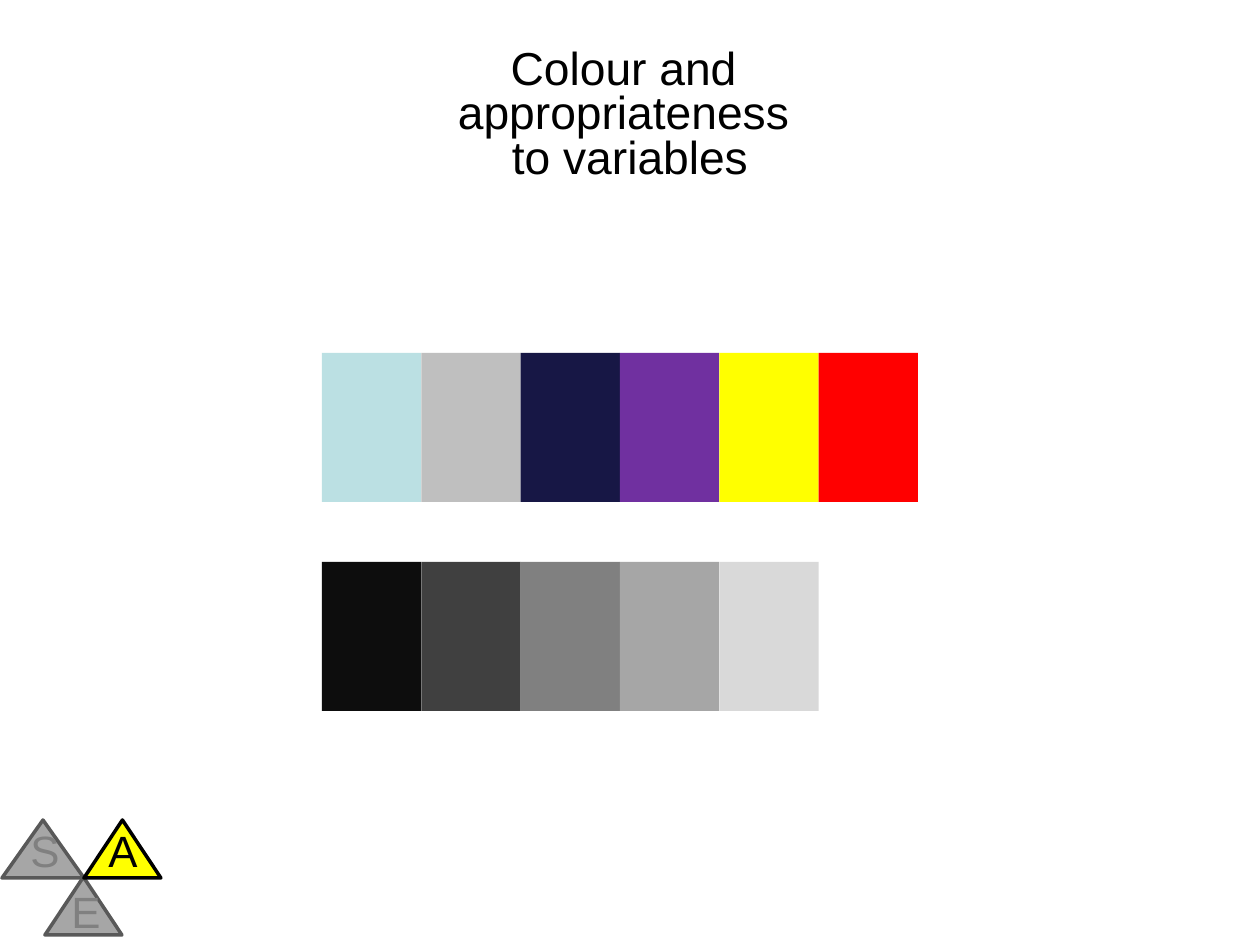
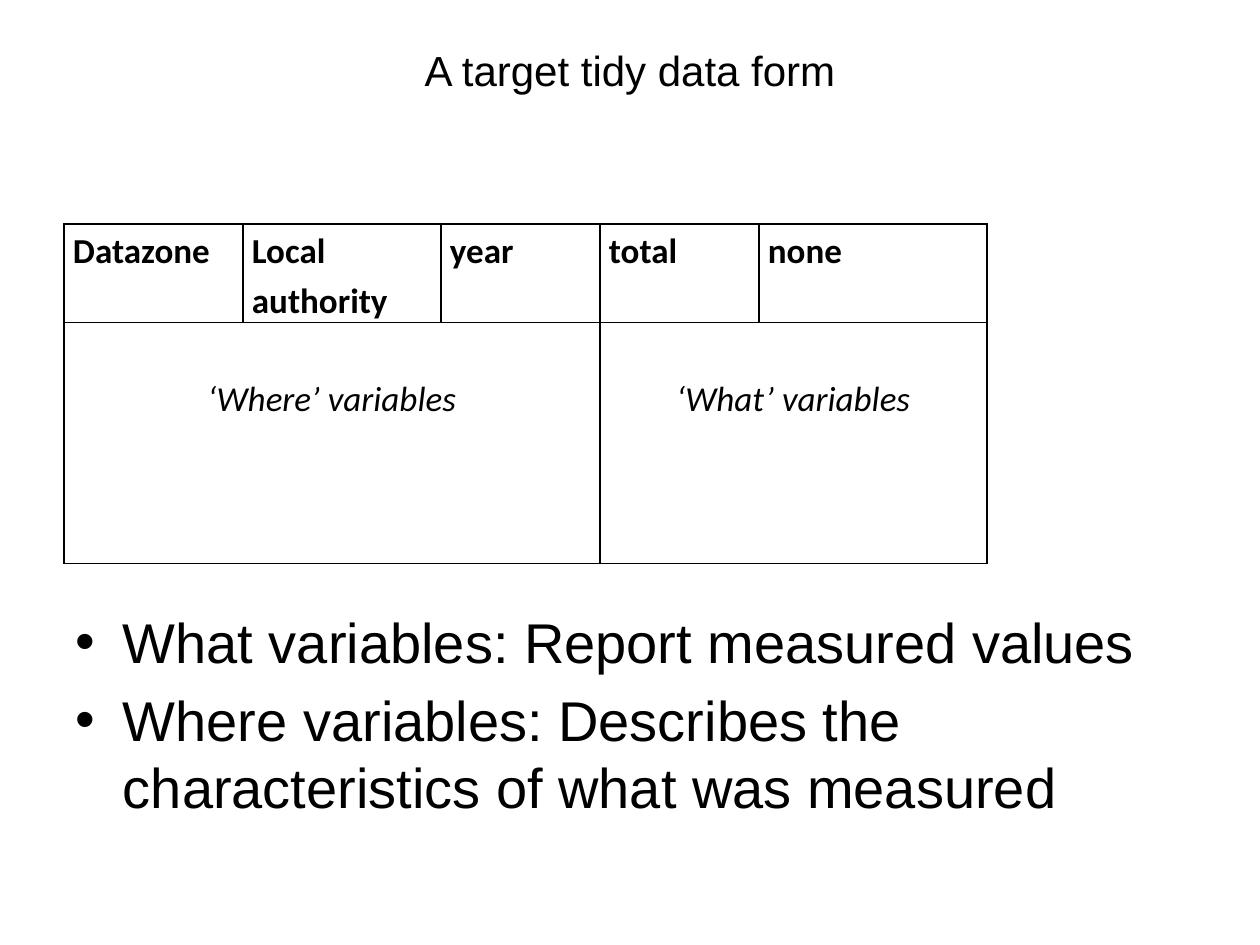
from itertools import pairwise

from lxml import etree
from pptx import Presentation
from pptx import util as u
from pptx.dml.color import RGBColor
from pptx.enum import shapes, text
from pptx.oxml.ns import qn

PX = 914400 / 126
SLIDE_SIZE = (1260, 945)
TITLE_BOX = (63, 38, 1134, 157)
BODY_BOX = (63, 601, 1134, 243)

BLACK = RGBColor(0x00, 0x00, 0x00)
YELLOW = RGBColor(0xFF, 0xFF, 0x00)
MUTED_FILL = RGBColor(0xA6, 0xA6, 0xA6)
MUTED_LINE = RGBColor(0x59, 0x59, 0x59)
MUTED_TEXT = RGBColor(0x80, 0x80, 0x80)

COLOUR_TITLE = ["Colour and ", "appropriateness ", "to variables"]
SWATCH_LEFT, SWATCH_RIGHT, SWATCH_HEIGHT, SWATCH_COLUMNS = 322, 918, 149, 6
SWATCH_ROWS = [
    (353, ["BBE0E3", "BFBFBF", "171745", "7030A0", "FFFF00", "FF0000"]),
    (562, ["0D0D0D", "404040", "808080", "A6A6A6", "D9D9D9"]),
]

# letter, triangle box, label box, highlighted
BADGE = [
    ("S", (2, 820, 82, 58), (8, 818, 74, 65), False),
    ("E", (45, 877, 77, 58), (49, 879, 74, 65), False),
    ("A", (84, 820, 77, 58), (86, 818, 74, 65), True),
]

TIDY_TITLE = ["A target tidy data form"]
TABLE_ORIGIN = (64, 224)
COLUMN_WIDTHS = [179, 198, 159, 159, 228]
ROW_HEIGHTS = [98, 241]
CELL_MARGIN = 9
TEXT_LINE = 49
HEADERS = ["Datazone", "Local authority", "year", "total", "none"]
VARIABLE_GROUPS = [("‘Where’ variables", 0, 2), ("‘What’ variables", 3, 4)]
VARIABLE_NOTES = [
    "What variables: Report measured values",
    "Where variables: Describes the characteristics of what was measured",
]


def px(length):
    return u.Emu(round(length * PX))


def place(shape, box):
    shape.left, shape.top, shape.width, shape.height = map(px, box)


def add_run(paragraph, words, size, colour=BLACK, name="Arial", bold=False, italic=False):
    run = paragraph.add_run()
    run.text = words
    font = run.font
    font.name, font.size, font.bold, font.italic = name, u.Pt(size), bold, italic
    font.color.rgb = colour


def fill_paragraphs(frame, lines, size, alignment, line_spacing=None, space_before=0):
    frame.word_wrap = True
    frame.auto_size = text.MSO_AUTO_SIZE.NONE
    for index, line in enumerate(lines):
        paragraph = frame.paragraphs[0] if index == 0 else frame.add_paragraph()
        paragraph.alignment = alignment
        paragraph.line_spacing = line_spacing
        paragraph.space_before = u.Pt(space_before if index else 0)
        add_run(paragraph, line, size)


def add_titled_slide(presentation, layout_name, lines, size, anchor, line_spacing=None):
    slide = presentation.slides.add_slide(presentation.slide_layouts.get_by_name(layout_name))
    title = slide.shapes.title
    place(title, TITLE_BOX)
    title.text_frame.vertical_anchor = anchor
    fill_paragraphs(title.text_frame, lines, size, text.PP_ALIGN.CENTER, line_spacing)
    return slide


def add_filled(container, kind, box, colour):
    shape = container.add_shape(kind, *map(px, box))
    shape.shadow.inherit = False
    shape.fill.solid()
    shape.fill.fore_color.rgb = colour
    shape.line.fill.background()
    return shape


def add_badge(slide):
    """Group the three lettered triangles in the bottom left corner."""
    group = slide.shapes.add_group_shape().shapes
    for _, triangle_box, _, active in BADGE:
        triangle = add_filled(group, shapes.MSO_SHAPE.ISOSCELES_TRIANGLE, triangle_box,
                              YELLOW if active else MUTED_FILL)
        triangle.line.color.rgb = BLACK if active else MUTED_LINE
        triangle.line.width = u.Pt(2)
    for letter, _, label_box, active in BADGE:
        frame = group.add_textbox(*map(px, label_box)).text_frame
        frame.word_wrap = True
        paragraph = frame.paragraphs[0]
        paragraph.alignment = text.PP_ALIGN.CENTER
        add_run(paragraph, letter, 25, BLACK if active else MUTED_TEXT)


def add_swatches(slide):
    step = (SWATCH_RIGHT - SWATCH_LEFT) / SWATCH_COLUMNS
    edges = [SWATCH_LEFT + step * column for column in range(SWATCH_COLUMNS + 1)]
    for top, colours in SWATCH_ROWS:
        for (left, right), colour in zip(pairwise(edges), colours):
            add_filled(slide.shapes, shapes.MSO_SHAPE.RECTANGLE,
                       (left, top, right - left, SWATCH_HEIGHT), RGBColor.from_string(colour))


def format_cell(cell):
    """Clear the fill, set the margins and draw a thin black border."""
    cell.fill.background()
    cell.margin_left = cell.margin_right = px(CELL_MARGIN)
    cell.margin_top = cell.margin_bottom = 0
    properties = cell._tc.get_or_add_tcPr()
    for index, side in enumerate(("lnL", "lnR", "lnT", "lnB")):
        border = etree.Element(qn(f"a:{side}"), w=str(u.Pt(1)))
        solid = etree.SubElement(border, qn("a:solidFill"))
        etree.SubElement(solid, qn("a:srgbClr"), val=str(BLACK))
        properties.insert(index, border)


def write_cell(cell, words, alignment, **style):
    paragraph = cell.text_frame.paragraphs[0]
    paragraph.alignment = alignment
    paragraph.line_spacing = 1.15
    add_run(paragraph, words, 20, name="Calibri", **style)


def add_variable_table(slide):
    box = (*TABLE_ORIGIN, sum(COLUMN_WIDTHS), sum(ROW_HEIGHTS))
    table = slide.shapes.add_table(len(ROW_HEIGHTS), len(COLUMN_WIDTHS), *map(px, box)).table
    table.first_row = table.horz_banding = False
    for column, width in zip(table.columns, COLUMN_WIDTHS):
        column.width = px(width)
    for row, height in zip(table.rows, ROW_HEIGHTS):
        row.height = px(height)
    for cell in table.iter_cells():
        format_cell(cell)
    for column, header in enumerate(HEADERS):
        write_cell(table.cell(0, column), header, text.PP_ALIGN.LEFT, bold=True)
    for label, first, last in VARIABLE_GROUPS:
        cell = table.cell(1, first)
        cell.merge(table.cell(1, last))
        cell.margin_top = px(TEXT_LINE)
        write_cell(cell, label, text.PP_ALIGN.CENTER, italic=True)


def main():
    presentation = Presentation()
    presentation.slide_width, presentation.slide_height = map(px, SLIDE_SIZE)

    colour_slide = add_titled_slide(presentation, "Title Only", COLOUR_TITLE, 26.4,
                                    text.MSO_ANCHOR.MIDDLE, 0.8)
    add_badge(colour_slide)
    add_swatches(colour_slide)

    tidy_slide = add_titled_slide(presentation, "Title and Content", TIDY_TITLE, 24,
                                  text.MSO_ANCHOR.TOP)
    body = tidy_slide.placeholders[1]
    place(body, BODY_BOX)
    fill_paragraphs(body.text_frame, VARIABLE_NOTES, 32, text.PP_ALIGN.LEFT, space_before=6.4)
    add_variable_table(tidy_slide)

    presentation.save("out.pptx")


if __name__ == "__main__":
    main()
